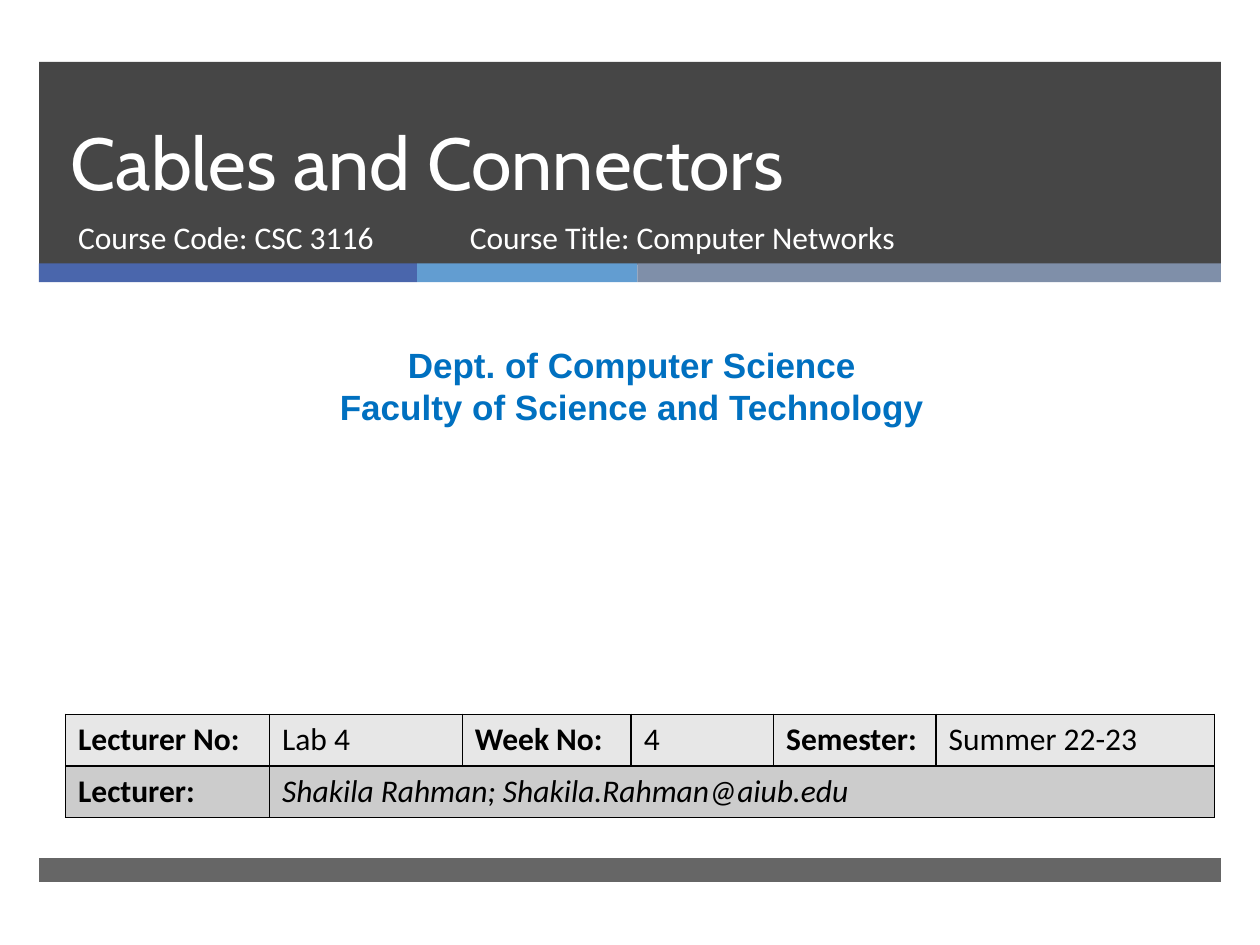
from lxml import etree
from pptx import Presentation
from pptx.dml.color import RGBColor
from pptx.enum import shapes, text
from pptx.oxml import ns
from pptx.util import Inches, Pt

COLORS = {
    "dark": "262626", "blue": "4A66AC", "sky": "629DD1", "slate": "7F8FA9",
    "white": "FFFFFF", "black": "000000", "heading": "0070C0",
    "light_row": "E7E7E7", "dark_row": "CCCCCC",
}
LEFT, CENTER = text.PP_ALIGN.LEFT, text.PP_ALIGN.CENTER
BODY = {"name": "Calibri", "size": Pt(18), "bold": False}


class SlideBuilder:
    def __init__(self, deck):
        self.page = deck.slides.add_slide(deck.slide_layouts[0])

    def color(self, name):
        return RGBColor.from_string(COLORS[name])

    def place(self, item, *bounds):
        for name, value in zip(("left", "top", "width", "height"), bounds):
            setattr(item, name, Inches(value))

    def fill_text(self, frame, lines, font, color, align=LEFT):
        frame.text = "\n".join(lines)
        for para in frame.paragraphs:
            para.alignment = align
            para.space_before = Pt(0)
            for span in para.runs:
                for name, value in font.items():
                    setattr(span.font, name, value)
                span.font.color.rgb = self.color(color)

    def bar(self, left, top, width, height, color, alpha=100):
        box = self.page.shapes.add_shape(
            shapes.MSO_SHAPE.RECTANGLE, *map(Inches, (left, top, width, height)))
        box.shadow.inherit = False
        box.line.fill.background()
        box.fill.solid()
        box.fill.fore_color.rgb = self.color(color)
        if alpha < 100:
            tint = box.element.spPr.find(".//" + ns.qn("a:srgbClr"))
            etree.SubElement(tint, ns.qn("a:alpha"), val=str(alpha * 1000))

    def placeholder(self, index, bounds, line, font, color, anchor):
        box = self.page.placeholders[index]
        self.place(box, *bounds)
        self.fill_text(box.text_frame, [line], font, color)
        box.text_frame.vertical_anchor = anchor
        box.text_frame.auto_size = text.MSO_AUTO_SIZE.NONE
        # Bring the placeholder in front of the bars
        box.element.getparent().append(box.element)
        return box

    def label(self, bounds, lines, font, color, align=LEFT):
        box = self.page.shapes.add_textbox(*map(Inches, bounds))
        box.text_frame.word_wrap = True
        self.fill_text(box.text_frame, lines, font, color, align)

    def border(self, cell):
        props = cell._tc.get_or_add_tcPr()
        for side in ("lnL", "lnR", "lnT", "lnB"):
            line = etree.SubElement(props, ns.qn("a:" + side), w=str(Pt(1)))
            fill = etree.SubElement(line, ns.qn("a:solidFill"))
            etree.SubElement(fill, ns.qn("a:srgbClr"), val=COLORS["black"])

    def table(self, left, top, widths, row_height, rows, fills):
        grid = self.page.shapes.add_table(
            len(rows), len(widths), Inches(left), Inches(top),
            Inches(sum(widths)), Inches(row_height * len(rows))).table
        for column, width in zip(grid.columns, widths):
            column.width = Inches(width)
        for r, (row, fill) in enumerate(zip(rows, fills)):
            grid.rows[r].height = Inches(row_height)
            for c in range(len(widths)):
                cell = grid.cell(r, c)
                self.border(cell)
                cell.fill.solid()
                cell.fill.fore_color.rgb = self.color(fill)
                if c < len(row):
                    # Captions and values alternate along each row
                    font = {**BODY, "bold": c % 2 == 0, "italic": r == 1 and c == 1}
                    self.fill_text(cell.text_frame, [row[c]], font, "black")
            if len(row) < len(widths):
                grid.cell(r, len(row) - 1).merge(grid.cell(r, len(widths) - 1))


def main():
    deck = Presentation()
    deck.slide_width, deck.slide_height = Inches(10), Inches(7.5)
    slide = SlideBuilder(deck)

    # Header band, colour stripe and footer band
    edge, full = 0.31, 9.38
    slide.bar(edge, 0.49, full, 1.61, "dark", 85)
    left = edge
    for width, color in ((3, "blue"), (1.75, "sky"), (4.63, "slate")):
        slide.bar(left, 2.09, width, 0.15, color)
        left += width
    slide.bar(edge, 6.81, full, 0.19, "dark", 70)

    # Title and course details
    title = slide.placeholder(
        0, (0.46, 0.49, 8.54, 1.19), "Cables and Connectors",
        {"name": "Cabin", "size": Pt(42)}, "white", text.MSO_ANCHOR.BOTTOM)
    title.text_frame.paragraphs[0].line_spacing = Pt(46)
    slide.placeholder(1, (0.52, 1.68, 3.05, 0.53), "Course Code: CSC 3116",
                      BODY, "white", text.MSO_ANCHOR.TOP)
    slide.label((3.63, 1.68, 4.55, 0.53), ["Course Title: Computer Networks"],
                BODY, "white")

    # Department
    slide.label((0.08, 2.68, 9.87, 0.77),
                ["Dept. of Computer Science", "Faculty of Science and Technology"],
                {"name": "Arial", "size": Pt(20), "bold": True}, "heading", CENTER)

    # Lecture details
    slide.table(0.52, 5.67, (1.62, 1.53, 1.34, 1.13, 1.29, 2.21), 0.41, [
        ("Lecturer No:", "Lab 4", "Week No:", "4", "Semester:", "Summer 22-23"),
        ("Lecturer:", "Shakila Rahman; Shakila.Rahman@aiub.edu"),
    ], ("light_row", "dark_row"))

    deck.save("out.pptx")


if __name__ == "__main__":
    main()
